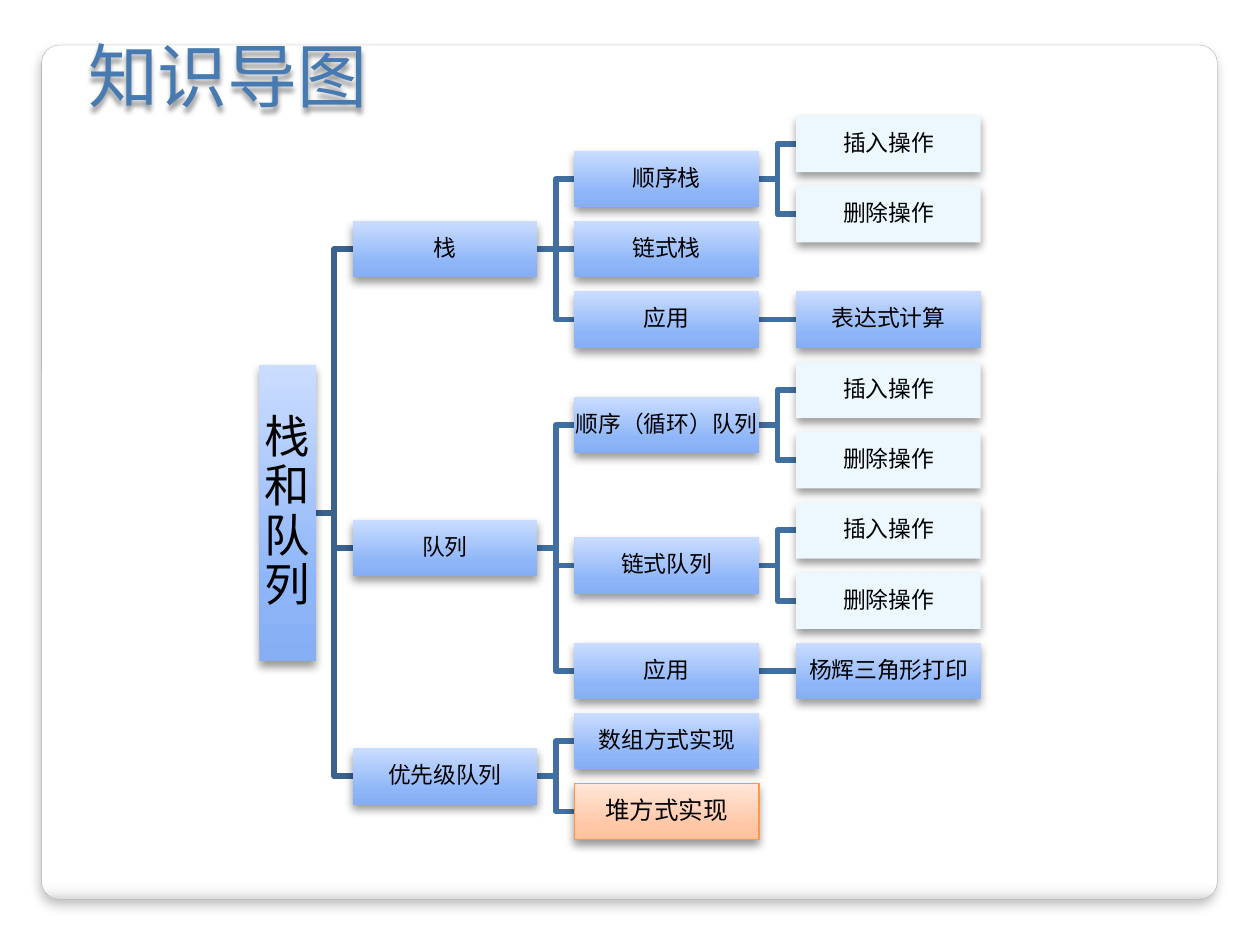
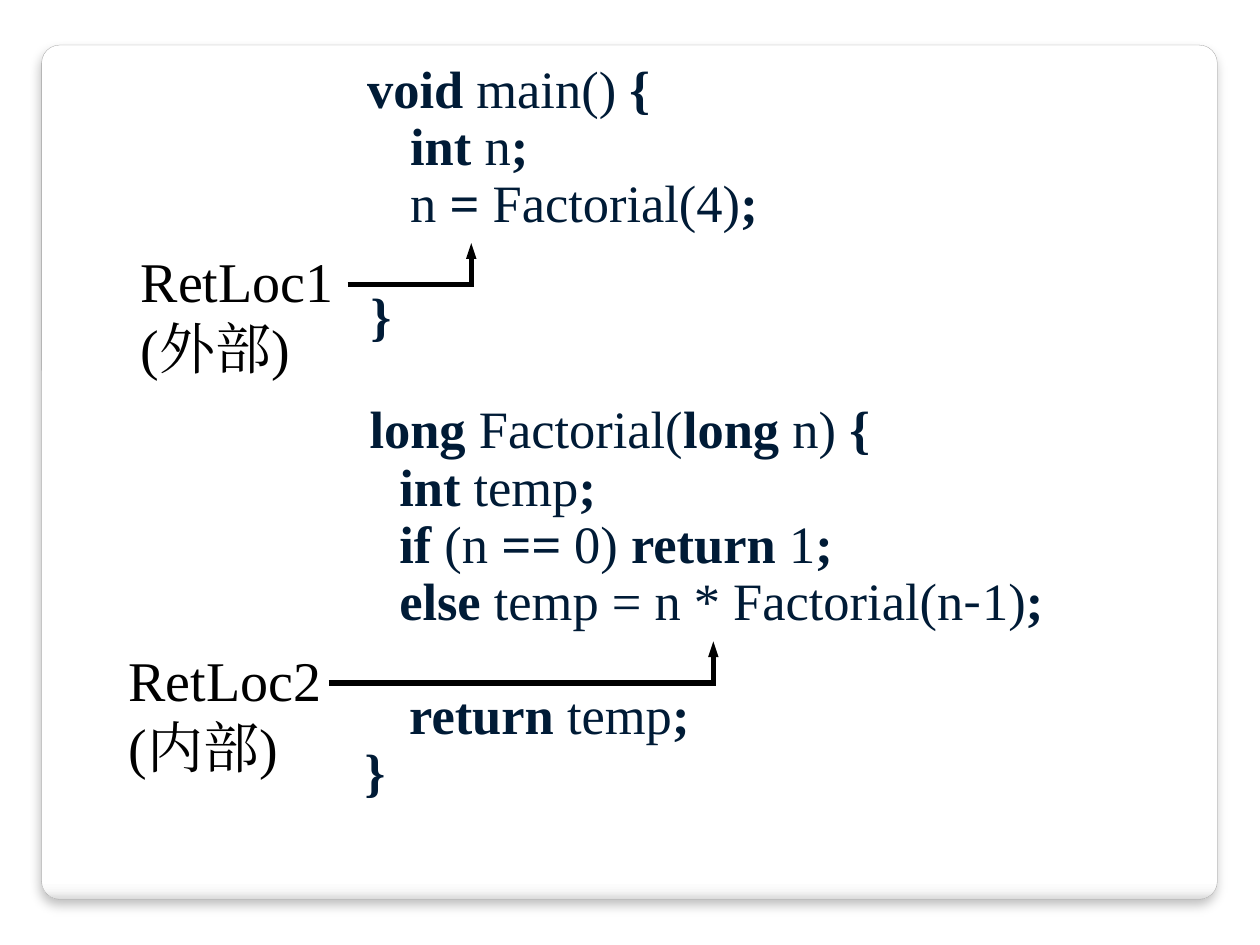
from typing import NamedTuple

from lxml import etree
from pptx import Presentation
from pptx.dml.color import RGBColor
from pptx.enum.shapes import MSO_CONNECTOR, MSO_SHAPE
from pptx.enum.text import MSO_ANCHOR, PP_ALIGN
from pptx.oxml.ns import qn
from pptx.util import Cm, Pt

ROUNDED = MSO_SHAPE.ROUNDED_RECTANGLE
RECTANGLE = MSO_SHAPE.RECTANGLE
STRAIGHT = MSO_CONNECTOR.STRAIGHT
CENTER = PP_ALIGN.CENTER
LEFT = PP_ALIGN.LEFT
TOP = MSO_ANCHOR.TOP
MIDDLE = MSO_ANCHOR.MIDDLE

COLORS = {
    "black": "000000",
    "title": "477AB1",
    "panel_edge": "A4A4A4",
    "root_link": "39628E",
    "link": "406FA1",
    "operation": "EDF8FE",
    "focus_edge": "FF993C",
    "code": "001B36",
}
PANEL_STOPS = [(0, "FFFFFF"), (98, "FFFFFF"), (99, "F7F7F7"), (100, "DADADA")]
BLUE_STOPS = [(0, "86AFF3"), (25, "8DB5F8"), (100, "CBDDFF")]
ORANGE_STOPS = [(0, "FFC29C"), (25, "FFC7A6"), (100, "FFE6D8")]
NODE_FONT = "DejaVu Sans"
TITLE_FONT = "Noto Sans CJK SC"
CODE_FONT = "Times New Roman"

ROOT_LEFT, ROOT_WIDTH, ROOT_HEIGHT = 5.23, 1.14, 5.97
COLUMN_LEFT, COLUMN_STEP = 7.11, 4.47
NODE_WIDTH, NODE_HEIGHT = 3.72, 1.14
FIRST_ROW, ROW_STEP = 2.9, 13.46 / 19
CODE_PITCH = 32.5


class Topic(NamedTuple):
    label: str
    row: float = 0
    branches: tuple = ()
    look: str = "blue"

    def center_row(self):
        if not self.branches:
            return self.row
        return (self.branches[0].center_row() + self.branches[-1].center_row()) / 2


class CodeLine(NamedTuple):
    indent: float
    spans: list
    gap: float = 0


def operations(row):
    return (Topic("插入操作", row, look="operation"), Topic("删除操作", row + 2, look="operation"))


TOPICS = Topic("栈和队列", branches=(
    Topic("栈", branches=(
        Topic("顺序栈", branches=operations(0)),
        Topic("链式栈", 3),
        Topic("应用", branches=(Topic("表达式计算", 5),)),
    )),
    Topic("队列", branches=(
        Topic("顺序（循环）队列", branches=operations(7)),
        Topic("链式队列", branches=operations(11)),
        Topic("应用", branches=(Topic("杨辉三角形打印", 15),)),
    )),
    Topic("优先级队列", branches=(
        Topic("数组方式实现", 17),
        Topic("堆方式实现", 19, look="focus"),
    )),
))

MAIN_CODE = [
    CodeLine(0, [("bold", "void "), ("plain", "main()"), ("bold", " {")]),
    CodeLine(0.87, [("bold", "int "), ("plain", "n"), ("bold", ";")]),
    CodeLine(0.87, [("plain", "n"), ("bold", " = "), ("plain", "Factorial(4)"), ("bold", ";")]),
    CodeLine(0.07, [("bold", "}")], CODE_PITCH),
]
FACTORIAL_CODE = [
    CodeLine(0.1, [("bold", "long"), ("plain", " Factorial("), ("bold", "long"),
                   ("plain", " n) "), ("bold", "{")]),
    CodeLine(0.7, [("bold", "int"), ("plain", " temp"), ("bold", ";")], 1),
    CodeLine(0.7, [("bold", "if"), ("plain", " (n"), ("bold italic", " =="), ("plain", " 0) "),
                   ("bold", "return"), ("plain", " 1"), ("bold", ";")]),
    CodeLine(0.7, [("bold", "else"), ("plain", " temp = n * Factorial(n"), ("dash", "-"),
                   ("plain", "1)"), ("bold", ";")]),
    CodeLine(0.9, [("bold", "return"), ("plain", " temp"), ("bold", ";")], CODE_PITCH),
    CodeLine(0, [("bold", "}")]),
]


class Board:
    def __init__(self, deck):
        self.deck = deck
        self.page = None

    def new_page(self):
        self.page = self.deck.slides.add_slide(self.deck.slide_layouts[6])
        panel = self.shape(ROUNDED, 0.84, 0.91, 23.7, 17.22)
        panel.adjustments[0] = 0.021
        self.gradient(panel, PANEL_STOPS, 90)
        self.outline(panel, "panel_edge", 0.16)
        self.shadow(panel, 25, 6, 4)

    def color(self, name):
        return RGBColor.from_string(COLORS[name])

    def shape(self, kind, left, top, width, height):
        shape = self.page.shapes.add_shape(kind, Cm(left), Cm(top), Cm(width), Cm(height))
        shape.shadow.inherit = False
        shape.line.fill.background()
        return shape

    def outline(self, shape, color, points):
        shape.line.color.rgb = self.color(color)
        shape.line.width = Pt(points)

    def gradient(self, shape, stops, angle):
        shape.fill.gradient()
        shape.fill.gradient_angle = 360 - angle
        stop_list = shape._element.spPr.find(".//" + qn("a:gsLst"))
        stop_list.clear()
        for position, color in stops:
            stop = etree.SubElement(stop_list, qn("a:gs"), pos=str(position * 1000))
            etree.SubElement(stop, qn("a:srgbClr"), val=color)

    def shadow(self, shape, opacity, blur, distance):
        shape.shadow.inherit = False
        effects = shape._element.spPr.find(qn("a:effectLst"))
        outer = etree.SubElement(effects, qn("a:outerShdw"), blurRad=str(Pt(blur)),
                                 dist=str(Pt(distance)), dir="5400000", rotWithShape="0")
        color = etree.SubElement(outer, qn("a:srgbClr"), val=COLORS["black"])
        etree.SubElement(color, qn("a:alpha"), val=str(opacity * 1000))

    def frame(self, shape, inset=(0, 0), anchor=TOP, wrap=True):
        frame = shape.text_frame
        frame.word_wrap = wrap
        frame.vertical_anchor = anchor
        frame.margin_left = frame.margin_right = Cm(inset[0])
        frame.margin_top = frame.margin_bottom = Cm(inset[1])
        return frame

    def style(self, para, font, size, color="black", align=LEFT):
        para.alignment = align
        para.font.size = Pt(size)
        para.font.color.rgb = self.color(color)
        para.font.name = font
        defaults = para._p.pPr.find(qn("a:defRPr"))
        etree.SubElement(defaults, qn("a:ea"), typeface=font)

    def text_box(self, left, top, width, height):
        return self.page.shapes.add_textbox(Cm(left), Cm(top), Cm(width), Cm(height))

    def title(self, text):
        box = self.text_box(1.09, 0.53, 7.01, 1.96)
        self.shadow(box, 40, 3, 3)
        para = self.frame(box, (0.25, 0.13)).paragraphs[0]
        para.text = text
        self.style(para, TITLE_FONT, 40, "title", CENTER)

    def label(self, left, top, lines):
        box = self.text_box(left, top, 4.45, 3)
        frame = self.frame(box, (0.25, 0.13), wrap=False)
        frame.text = "\n".join(lines)
        for para in frame.paragraphs:
            self.style(para, CODE_FONT, 32)

    def code(self, left, top, lines):
        frame = self.frame(self.text_box(left, top, 15, 1.15 * len(lines) + 1.15))
        for index, line in enumerate(lines):
            para = frame.add_paragraph() if index else frame.paragraphs[0]
            self.style(para, CODE_FONT, 30, "code")
            para.line_spacing = Pt(CODE_PITCH)
            para.space_before = Pt(line.gap)
            para._p.pPr.set("marL", str(Cm(line.indent)))
            for kind, text in line.spans:
                span = para.add_run()
                span.text = text
                span.font.bold = "bold" in kind
                if "italic" in kind:
                    span.font.italic = True
                if kind == "dash":
                    span.font.name = TITLE_FONT

    def line(self, start, end, color, width, arrow=False):
        line = self.page.shapes.add_connector(STRAIGHT, *map(Cm, start + end))
        self.outline(line, color, width)
        if arrow:
            etree.SubElement(line.line._get_or_add_ln(), qn("a:tailEnd"),
                             type="triangle", w="sm", len="med")
        etree.SubElement(line._element.spPr, qn("a:effectLst"))

    def link(self, start, end, color):
        if abs(start[1] - end[1]) < 0.01:
            self.line(start, end, color, 3.35)
            return
        middle = (start[0] + end[0]) / 2
        points = [(middle, start[1]), (middle, end[1]), end]
        builder = self.page.shapes.build_freeform(Cm(start[0]), Cm(start[1]))
        builder.add_line_segments([(Cm(x), Cm(y)) for x, y in points], close=False)
        elbow = builder.convert_to_shape()
        elbow.fill.background()
        elbow.shadow.inherit = False
        self.outline(elbow, color, 3.35)

    def node(self, topic, left, center, width, height, size):
        box = self.shape(RECTANGLE, left, center - height / 2, width, height)
        if topic.look == "operation":
            box.fill.solid()
            box.fill.fore_color.rgb = self.color("operation")
        else:
            self.gradient(box, ORANGE_STOPS if topic.look == "focus" else BLUE_STOPS, 270)
        if topic.look == "focus":
            self.outline(box, "focus_edge", 0.75)
        self.shadow(box, 40, 5.2, 3)
        para = self.frame(box, anchor=MIDDLE).paragraphs[0]
        para.text = topic.label
        para.line_spacing = 0.9
        self.style(para, NODE_FONT, size, align=CENTER)

    def tree(self, topic, depth=0):
        center = FIRST_ROW + topic.center_row() * ROW_STEP
        if depth:
            left, width, height = COLUMN_LEFT + (depth - 1) * COLUMN_STEP, NODE_WIDTH, NODE_HEIGHT
            size = 14 if topic.look == "focus" else 13
        else:
            left, width, height, size = ROOT_LEFT, ROOT_WIDTH, ROOT_HEIGHT, 26
        for branch in topic.branches:
            branch_center = FIRST_ROW + branch.center_row() * ROW_STEP
            self.link((left + width, center), (COLUMN_LEFT + depth * COLUMN_STEP, branch_center),
                      "link" if depth else "root_link")
            self.tree(branch, depth + 1)
        self.node(topic, left, center, width, height, size)

    def return_arrow(self, start, corner, height):
        x, y = corner
        self.line(start, (x + 0.05, y), "black", 3)
        self.line(corner, (x, y - height), "black", 3, arrow=True)


def main():
    deck = Presentation()
    deck.slide_width, deck.slide_height = Cm(25.4), Cm(19.05)
    board = Board(deck)

    board.new_page()
    board.tree(TOPICS)
    board.title("知识导图")

    board.new_page()
    board.code(7.4, 1.25, MAIN_CODE)
    board.return_arrow((7.01, 5.74), (9.5, 5.74), 0.84)
    board.label(2.59, 4.83, ["RetLoc1", "(外部)"])
    board.code(7.35, 8.1, FACTORIAL_CODE)
    board.return_arrow((6.63, 13.77), (14.38, 13.77), 0.84)
    board.label(2.34, 12.88, ["RetLoc2", "(内部)"])

    deck.save("out.pptx")


if __name__ == "__main__":
    main()
